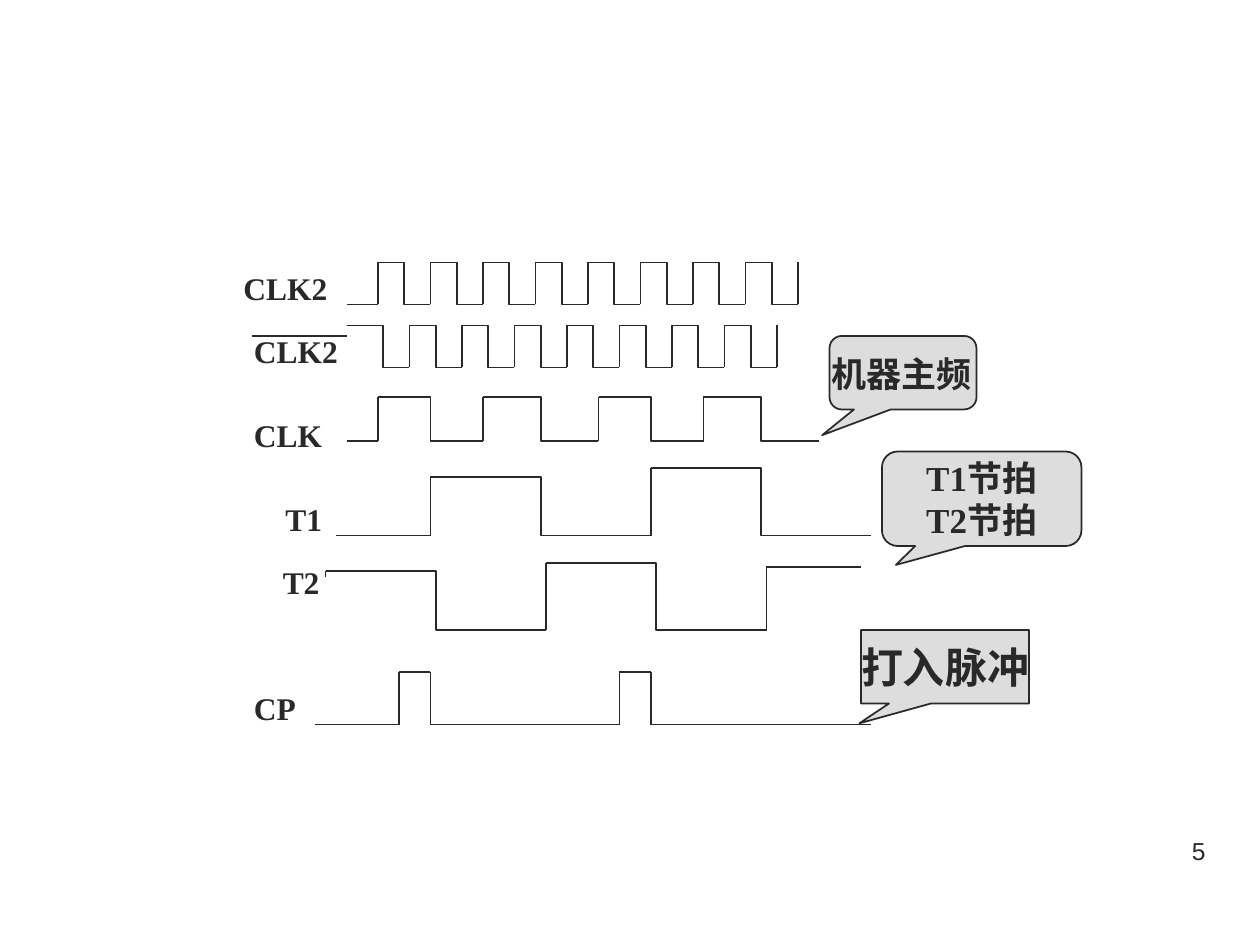
from pptx import Presentation
from pptx.util import Pt
from pptx.dml.color import RGBColor
from pptx.enum.shapes import MSO_CONNECTOR as Link, MSO_SHAPE as Kind
from pptx.enum.text import MSO_ANCHOR as Anchor, MSO_AUTO_SIZE as Fit, PP_ALIGN as Align
from pptx.oxml.ns import qn
from lxml import etree

INK = RGBColor.from_string("292929")
GREY = RGBColor.from_string("DDDDDD")

deck = Presentation()
deck.slide_width, deck.slide_height = Pt(720), Pt(540)
slide = deck.slides.add_slide(deck.slide_layouts[6])
shapes = slide.shapes


def wire(x1, y1, x2, y2, kind=Link.STRAIGHT):
    link = shapes.add_connector(kind, Pt(x1), Pt(y1), Pt(x2), Pt(y2))
    link.line.color.rgb = INK
    link.line.width = Pt(1)
    etree.SubElement(link._element.spPr, qn("a:effectLst"))


def write(shape, text, size, align=Align.LEFT, font="Times New Roman"):
    frame = shape.text_frame
    frame.text = text
    for para in frame.paragraphs:
        para.alignment = align
        for run in para.runs:
            run.font.name = font
            run.font.size = Pt(size)
            run.font.bold = font != "Arial"
            run.font.color.rgb = INK


# Page number
box = shapes.add_textbox(Pt(516), Pt(474), Pt(180), Pt(37.5))
box.text_frame.word_wrap = True
write(box, "5", 14, Align.RIGHT, "Arial")

# Fast clocks: each period is a high-then-low elbow and a rising edge
for start, top, low in [(216, 150, 174), (204, 186, 210)]:
    for x in range(start, start + 240, 30):
        wire(x, top, x + 30, low, Link.ELBOW)
        wire(x + 30, low, x + 30, top)
wire(216, 150, 216, 174)

# Slow signals: rising edge at x from foot to top, then an elbow to the end
pulses = [
    (216, 252, 227, 276, 252),  # CLK
    (276, 252, 227, 342, 252),
    (342, 252, 227, 402, 252),
    (402, 252, 227, 468, 252),
    (246, 306, 272.4, 372, 306),  # T1
    (372, 306, 267.6, 498, 306),
    (186, 330, 326.4, 312, 360),  # T2
    (312, 360, 321.6, 438, 360),
]
for x, foot, top, end, low in pulses:
    wire(x, foot, x, top)
    wire(x, top, end, low, Link.ELBOW)

# Lead-in and closing lines
for x1, y1, x2, y2 in [
    (198, 174, 216, 174),
    (198, 186, 210, 186),
    (144, 192, 198, 192),  # bar over CLK2
    (198, 252, 216, 252),
    (192, 306, 246, 306),
    (438, 360, 438, 324),
    (438, 324, 492, 324),
]:
    wire(x1, y1, x2, y2)

# CP pulses
trace = [(180, 414), (228, 414), (228, 384), (246, 384), (246, 414),
         (354, 414), (354, 384), (372, 384), (372, 414), (498, 414)]
for here, there in zip(trace, trace[1:]):
    wire(*here, *there)

# Signal names
for name, x, y, wide in [
    ("CLK2", 132, 150, 84),
    ("CLK2", 138, 186, 84),
    ("CLK", 138, 234, 60),
    ("T1", 156, 282, 60),
    ("T2", 154.5, 318, 60),
    ("CP", 138, 390, 60),
]:
    box = shapes.add_textbox(Pt(x), Pt(y), Pt(wide), Pt(29))
    box.text_frame.word_wrap = True
    box.text_frame.auto_size = Fit.SHAPE_TO_FIT_TEXT
    write(box, name, 18)

# Callouts
for kind, x, y, wide, high, tip, text, size in [
    (Kind.RECTANGULAR_CALLOUT, 492, 360, 96, 42, (-0.51, 0.77), "打入脉冲", 24),
    (Kind.ROUNDED_RECTANGULAR_CALLOUT, 504, 258, 114, 54, (-0.43, 0.7), "T1节拍\nT2节拍", 20),
    (Kind.ROUNDED_RECTANGULAR_CALLOUT, 474, 192, 84, 42, (-0.55, 0.85), "", 20),
]:
    call = shapes.add_shape(kind, Pt(x), Pt(y), Pt(wide), Pt(high))
    call.shadow.inherit = False
    call.adjustments[0], call.adjustments[1] = tip
    call.fill.solid()
    call.fill.fore_color.rgb = GREY
    call.line.color.rgb = INK
    call.line.width = Pt(1)
    if text:
        call.text_frame.word_wrap = False
        call.text_frame.vertical_anchor = Anchor.MIDDLE
        write(call, text, size, Align.CENTER)

box = shapes.add_textbox(Pt(468), Pt(198), Pt(94.4), Pt(31.5))
box.text_frame.word_wrap = False
box.text_frame.auto_size = Fit.SHAPE_TO_FIT_TEXT
write(box, "机器主频", 20)

deck.save("out.pptx")
